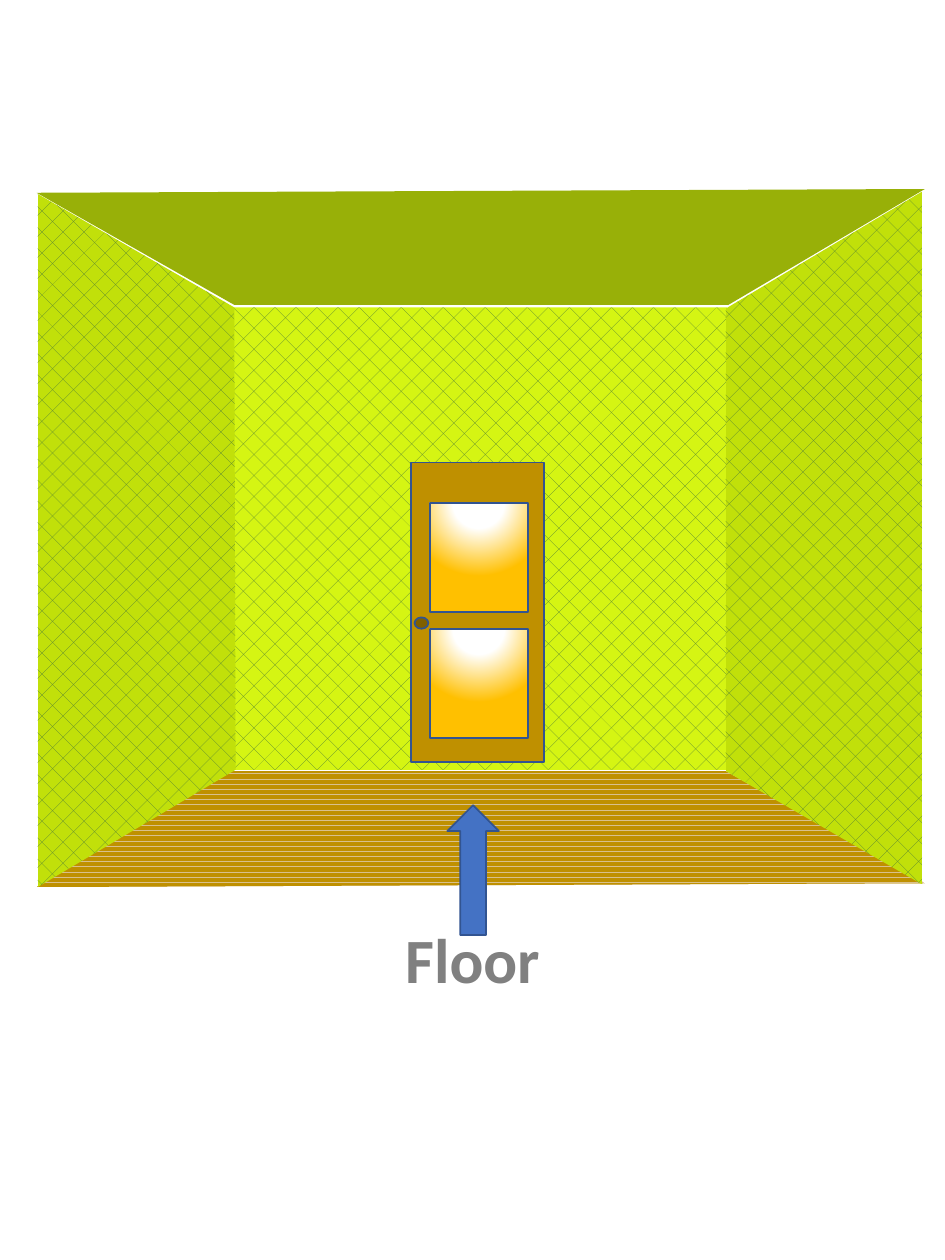
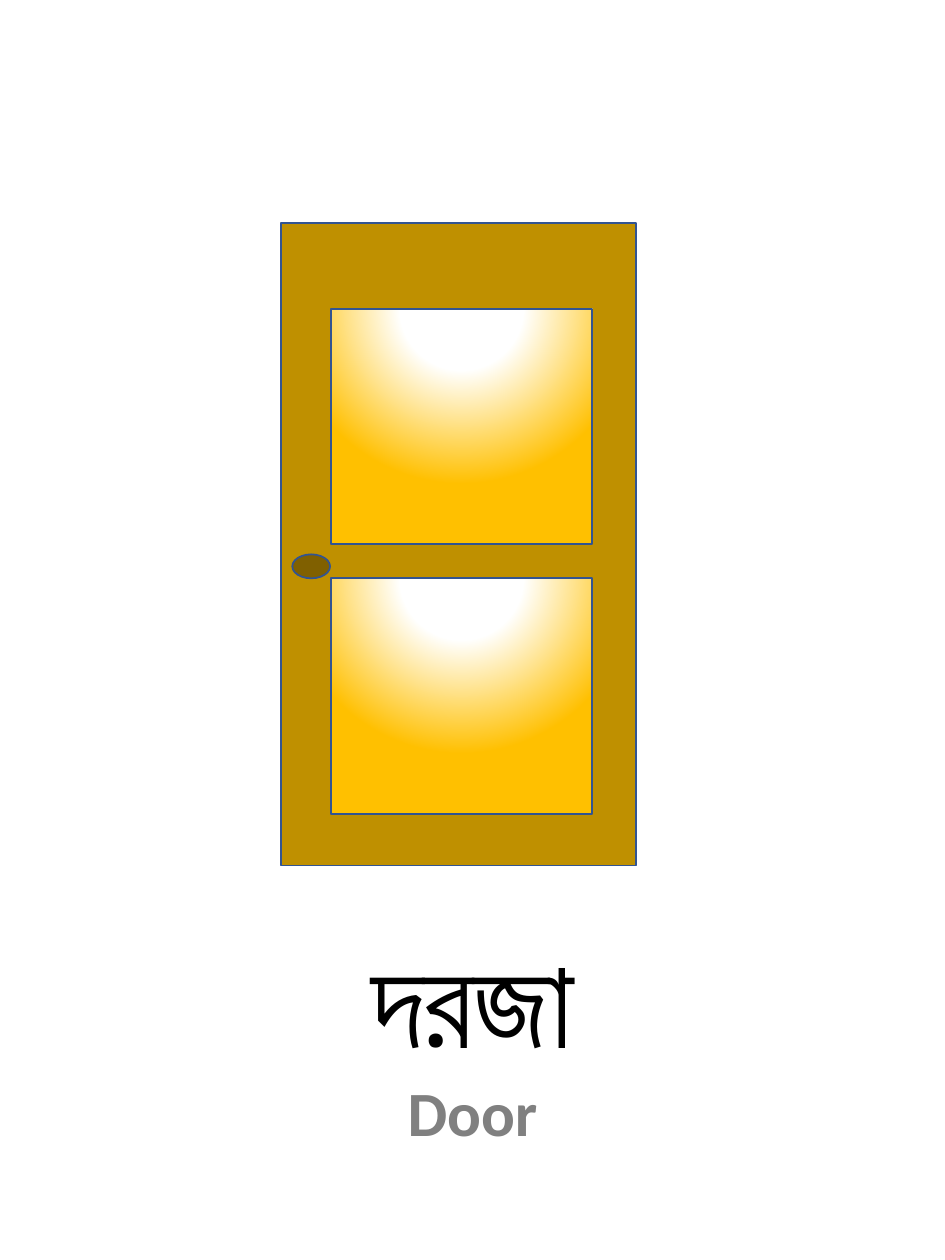
from dataclasses import dataclass

from pptx import Presentation
from pptx.dml.color import RGBColor
from pptx.enum.dml import MSO_PATTERN
from pptx.enum.shapes import MSO_SHAPE
from pptx.enum.text import MSO_AUTO_SIZE, PP_ALIGN
from pptx.oxml import parse_xml
from pptx.oxml.ns import nsdecls
from pptx.util import Pt

# Scale: 100 px to the inch
PX = 9144
PAGE_W, PAGE_H = 750, 1000

RECT, OVAL, ARROW = MSO_SHAPE.RECTANGLE, MSO_SHAPE.OVAL, MSO_SHAPE.RIGHT_ARROW
BOARDS, DIAMONDS = MSO_PATTERN.DARK_HORIZONTAL, MSO_PATTERN.DOTTED_DIAMOND
CENTER = PP_ALIGN.CENTER
GROW = MSO_AUTO_SIZE.SHAPE_TO_FIT_TEXT

FONT = "Calibri"
BLACK = RGBColor(0x00, 0x00, 0x00)
GREY = RGBColor(0x80, 0x80, 0x80)
BLUE = RGBColor(0x44, 0x72, 0xC4)
OUTLINE = RGBColor(0x32, 0x54, 0x91)
WOOD = RGBColor(0xBF, 0x90, 0x00)
PALE_WOOD = RGBColor(0xD8, 0xC0, 0x8C)
KNOB = RGBColor(0x80, 0x60, 0x00)
WHITE = RGBColor(0xFF, 0xFF, 0xFF)
GLOW = RGBColor(0xFF, 0xC0, 0x00)
MESH = RGBColor(0x54, 0x82, 0x35)
BACK_WALL = RGBColor(0xD5, 0xF5, 0x13)
SIDE_WALL = RGBColor(0xC1, 0xE0, 0x0A)
CEILING = RGBColor(0x98, 0xB0, 0x08)

GLASS_STOPS = ((0, WHITE), (35, WHITE), (100, GLOW))


@dataclass(frozen=True)
class Box:
    x: int
    y: int
    w: int
    h: int

    def emu(self) -> tuple[int, int, int, int]:
        return self.x * PX, self.y * PX, self.w * PX, self.h * PX

    def inside(self, outer: "Box", base: "Box") -> "Box":
        """Scale this part of base to the matching part of outer."""
        sx, sy = outer.w / base.w, outer.h / base.h
        return Box(outer.x + round(self.x * sx), outer.y + round(self.y * sy),
                   round(self.w * sx), round(self.h * sy))


@dataclass(frozen=True)
class Paint:
    color: RGBColor
    pattern: MSO_PATTERN | None = None
    back: RGBColor | None = None


@dataclass(frozen=True)
class Plane:
    points: tuple[tuple[int, int], ...]
    paint: Paint


# Door parts, measured on a door of the base size
DOOR_BASE = Box(0, 0, 282, 510)
PANES = (Box(40, 68, 207, 187), Box(40, 282, 207, 187))
DOOR_KNOB = Box(9, 263, 30, 19)

# Room planes
SIDE_PAINT = Paint(MESH, DIAMONDS, SIDE_WALL)
FLOOR = Plane(((184, 612), (29, 704), (734, 701), (576, 612)),
              Paint(WOOD, BOARDS, PALE_WOOD))
BACK = Box(185, 244, 392, 367)
UPPER_PLANES = (
    Plane(((576, 245), (732, 152), (732, 702), (576, 612)), SIDE_PAINT),
    Plane(((187, 611), (30, 704), (30, 154), (186, 244)), SIDE_PAINT),
    Plane(((578, 242), (734, 150), (29, 153), (186, 242)), Paint(CEILING)),
)


def apply_paint(sp, paint: Paint) -> None:
    fill = sp.fill
    if paint.pattern is None:
        fill.solid()
        fill.fore_color.rgb = paint.color
    else:
        fill.patterned()
        fill.pattern = paint.pattern
        fill.fore_color.rgb = paint.color
        fill.back_color.rgb = paint.back


def apply_glow(sp) -> None:
    """Radial glow centred above the top edge."""
    stops = "".join(
        f'<a:gs pos="{pos * 1000}"><a:srgbClr val="{color}"/></a:gs>'
        for pos, color in GLASS_STOPS)
    grad = parse_xml(
        f'<a:gradFill {nsdecls("a")} rotWithShape="1"><a:gsLst>{stops}</a:gsLst>'
        '<a:path path="circle"><a:fillToRect l="50000" t="-80000" r="50000" '
        'b="180000"/></a:path></a:gradFill>')
    sp._element.spPr.insert(2, grad)  # after position and geometry


def add_box(shapes, kind: MSO_SHAPE, box: Box, paint: Paint | None = None,
            outlined: bool = True):
    sp = shapes.add_shape(kind, *box.emu())
    sp.shadow.inherit = False
    if paint is None:
        apply_glow(sp)
    else:
        apply_paint(sp, paint)
    if outlined:
        sp.line.color.rgb = OUTLINE
        sp.line.width = Pt(1)
    else:
        sp.line.fill.background()
    return sp


def add_plane(shapes, plane: Plane) -> None:
    start, *rest = plane.points
    builder = shapes.build_freeform(*start, scale=PX)
    builder.add_line_segments(rest, close=True)
    sp = builder.convert_to_shape()
    sp.shadow.inherit = False
    apply_paint(sp, plane.paint)
    sp.line.fill.background()


def add_door(shapes, frame: Box) -> None:
    add_box(shapes, RECT, frame, Paint(WOOD))
    for pane in PANES:
        add_box(shapes, RECT, pane.inside(frame, DOOR_BASE))
    add_box(shapes, OVAL, DOOR_KNOB.inside(frame, DOOR_BASE), Paint(KNOB))


def add_label_box(shapes, box: Box):
    tf = shapes.add_textbox(*box.emu()).text_frame
    tf.word_wrap = False
    tf.auto_size = GROW
    return tf


def write(p, text: str, *, size: int = 36, color: RGBColor = GREY,
          bold: bool = True) -> None:
    p.alignment = CENTER
    r = p.add_run()
    r.text = text
    r.font.name = FONT
    r.font.size = Pt(size)
    r.font.bold = bold
    r.font.color.rgb = color


def build_floor_slide(slide) -> None:
    # Room with its door
    room = slide.shapes.add_group_shape().shapes
    add_plane(room, FLOOR)
    add_box(room, RECT, BACK, Paint(MESH, DIAMONDS, BACK_WALL), outlined=False)
    for plane in UPPER_PLANES:
        add_plane(room, plane)
    add_door(room, Box(326, 367, 106, 238))

    # Label and the arrow pointing up at the floor
    tf = add_label_box(slide.shapes, Box(311, 726, 128, 71))
    write(tf.paragraphs[0], "Floor")
    arrow = add_box(slide.shapes, ARROW, Box(324, 670, 103, 41), Paint(BLUE))
    arrow.rotation = 270


def build_door_slide(slide) -> None:
    tf = add_label_box(slide.shapes, Box(267, 727, 216, 192))
    write(tf.paragraphs[0], "দরজা", size=72, color=BLACK, bold=False)
    write(tf.add_paragraph(), "Door")
    add_door(slide.shapes.add_group_shape().shapes, Box(223, 177, 282, 510))


def main() -> None:
    prs = Presentation()
    prs.slide_width, prs.slide_height = PAGE_W * PX, PAGE_H * PX
    blank = prs.slide_layouts[6]
    for build in (build_floor_slide, build_door_slide):
        build(prs.slides.add_slide(blank))
    prs.save("out.pptx")


if __name__ == "__main__":
    main()
